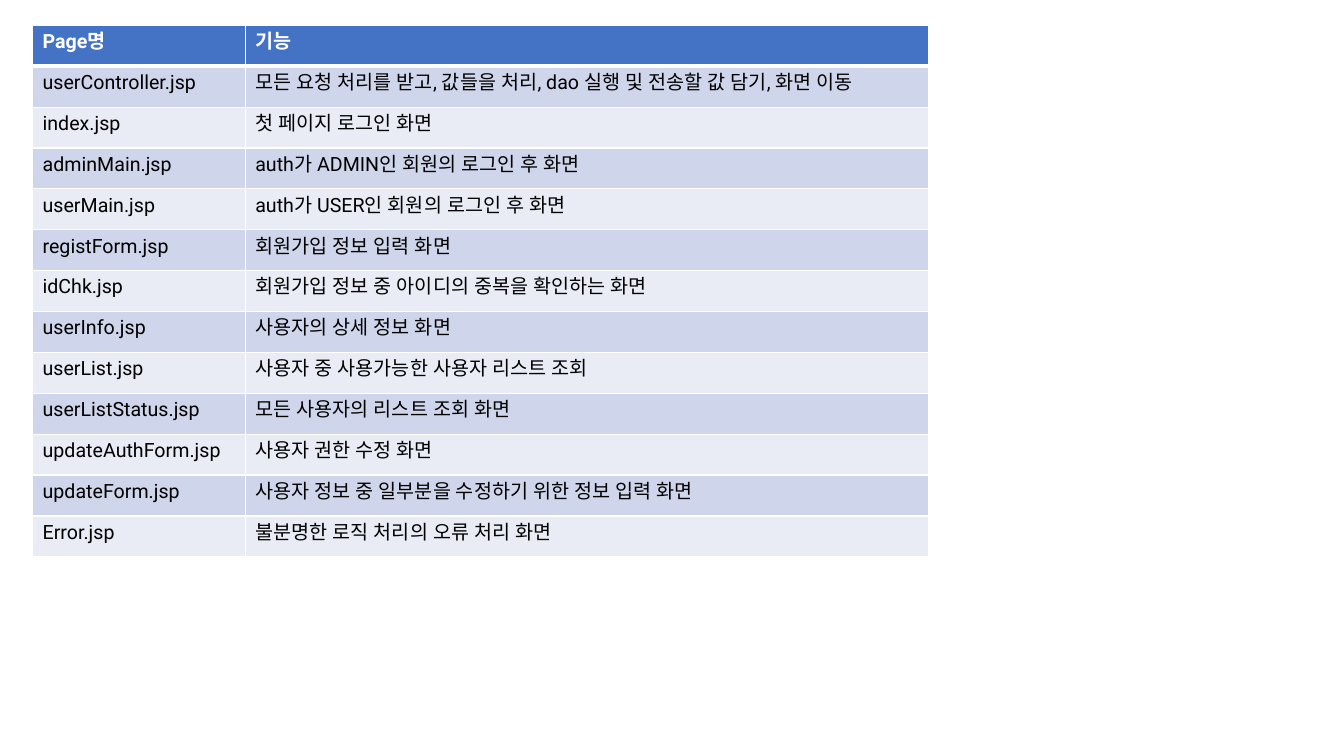
from lxml.etree import SubElement
from pptx import Presentation
from pptx.dml.color import RGBColor
from pptx.enum.lang import MSO_LANGUAGE_ID as Language
from pptx.oxml.ns import qn
from pptx.util import Cm, Pt

WHITE = RGBColor(0xFF, 0xFF, 0xFF)
BLACK = RGBColor(0x00, 0x00, 0x00)
HEADER_BLUE = RGBColor(0x44, 0x72, 0xC4)
BAND_DARK = RGBColor(0xCF, 0xD5, 0xEA)
BAND_LIGHT = RGBColor(0xE9, 0xEB, 0xF5)

PAGE_ROLES = [
    ("Page명", "기능"),
    ("userController.jsp", "모든 요청 처리를 받고, 값들을 처리, dao 실행 및 전송할 값 담기, 화면 이동"),
    ("index.jsp", "첫 페이지 로그인 화면"),
    ("adminMain.jsp", "auth가 ADMIN인 회원의 로그인 후 화면"),
    ("userMain.jsp", "auth가 USER인 회원의 로그인 후 화면"),
    ("registForm.jsp", "회원가입 정보 입력 화면"),
    ("idChk.jsp", "회원가입 정보 중 아이디의 중복을 확인하는 화면"),
    ("userInfo.jsp", "사용자의 상세 정보 화면"),
    ("userList.jsp", "사용자 중 사용가능한 사용자 리스트 조회"),
    ("userListStatus.jsp", "모든 사용자의 리스트 조회 화면"),
    ("updateAuthForm.jsp", "사용자 권한 수정 화면"),
    ("updateForm.jsp", "사용자 정보 중 일부분을 수정하기 위한 정보 입력 화면"),
    ("Error.jsp", "불분명한 로직 처리의 오류 처리 화면"),
]


def write_text(para, text, *, font, size, color=BLACK, bold=False):
    """Add one formatted span to a paragraph."""
    span = para.add_run()
    span.text = text
    span.font.name = font
    span.font.size = Pt(size)
    span.font.bold = bold
    span.font.color.rgb = color
    span.font.language_id = Language.KOREAN
    SubElement(span.font._element, qn("a:ea"), typeface=font)


def set_borders(cell, color, **widths):
    """Draw solid cell borders; widths in points are keyed L, R, T, B."""
    properties = cell._tc.get_or_add_tcPr()
    for side, width in widths.items():
        line = SubElement(properties, qn(f"a:ln{side}"), w=str(Pt(width)))
        fill = SubElement(line, qn("a:solidFill"))
        SubElement(fill, qn("a:srgbClr"), val=str(color))


class PageBuilder:
    """Hold the shared text style and the current page."""

    font = "Roboto"
    size = 14

    def __init__(self, page):
        """Keep the page that receives the elements."""
        self.page = page

    def table(self, entries, left, top, widths, row_height):
        """Add a table with a coloured header and banded rows."""
        frame = self.page.shapes.add_table(
            len(entries), len(widths), left, top,
            sum(widths), row_height * len(entries))
        table = frame.table
        for column, width in zip(table.columns, widths):
            column.width = width
        for row_index, entry in enumerate(entries):
            table.rows[row_index].height = row_height
            for column_index, text in enumerate(entry):
                self.cell(table.cell(row_index, column_index), text, row_index)

    def cell(self, cell, text, row_index):
        """Fill, outline and label one cell according to its row."""
        is_header = row_index == 0
        set_borders(cell, WHITE, L=1, R=1,
                    T=3 if row_index == 1 else 1, B=3 if is_header else 1)
        band = BAND_DARK if row_index % 2 else BAND_LIGHT
        cell.fill.solid()
        cell.fill.fore_color.rgb = HEADER_BLUE if is_header else band
        write_text(cell.text_frame.paragraphs[0], text,
                   font=self.font, size=self.size, bold=is_header,
                   color=WHITE if is_header else BLACK)


def main():
    """Build the page role overview and save the deck."""
    deck = Presentation()
    deck.slide_width, deck.slide_height = Cm(33.87), Cm(19.05)
    builder = PageBuilder(deck.slides.add_slide(deck.slide_layouts[6]))
    builder.table(PAGE_ROLES, Cm(0.82), Cm(0.64),
                  widths=[Cm(5.36), Cm(17.22)], row_height=Cm(1.03))
    deck.save("out.pptx")


main()
